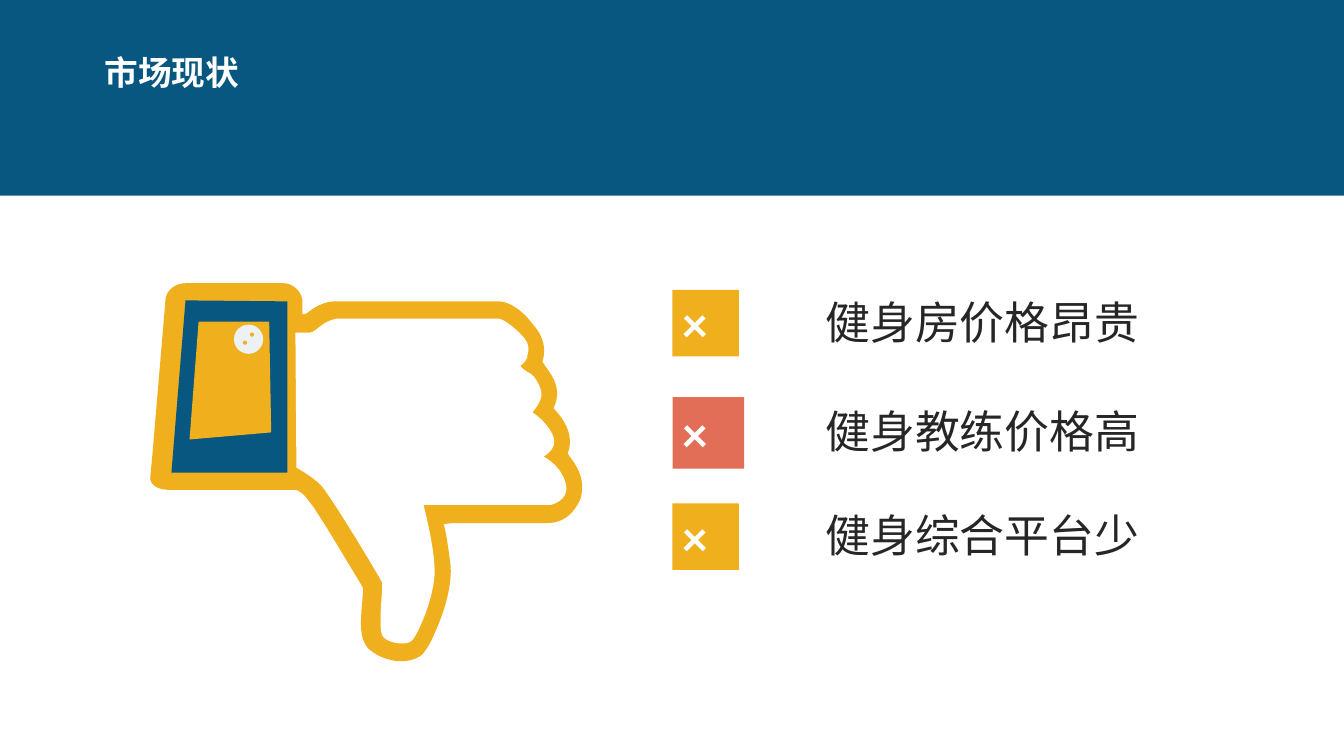
from dataclasses import dataclass

from lxml import etree
from pptx import Presentation
from pptx.dml.color import RGBColor
from pptx.enum.shapes import MSO_SHAPE
from pptx.enum.text import MSO_AUTO_SIZE, PP_ALIGN
from pptx.oxml.ns import qn
from pptx.util import Inches, Pt

RECT, OVAL = MSO_SHAPE.RECTANGLE, MSO_SHAPE.OVAL
LEFT, CENTER = PP_ALIGN.LEFT, PP_ALIGN.CENTER
FIT_TEXT = MSO_AUTO_SIZE.SHAPE_TO_FIT_TEXT

BLUE = RGBColor(0x08, 0x57, 0x80)
YELLOW = RGBColor(0xF0, 0xAF, 0x1D)
RED = RGBColor(0xE3, 0x6E, 0x57)
WHITE = RGBColor(0xFF, 0xFF, 0xFF)
BUTTON = RGBColor(0xEC, 0xF1, 0xF4)
DARK = RGBColor(0x26, 0x26, 0x26)

CURVE_STEPS = 10


@dataclass
class Problem:
    label: str
    top: float
    color: RGBColor
    side: float


@dataclass
class Outline:
    """Closed outline: pairs are line ends, sextuples are cubic curves."""
    color: RGBColor
    start: tuple[float, float]
    segments: list[tuple[float, ...]]


PROBLEMS = [
    Problem("健身房价格昂贵", 2.87, YELLOW, 0.66),
    Problem("健身教练价格高", 3.96, RED, 0.71),
    Problem("健身综合平台少", 4.99, YELLOW, 0.66),
]

HAND_EDGE = Outline(YELLOW, (5.76, 4.94), [
    (5.7, 5.09, 5.6, 5.16, 5.51, 5.18), (5.47, 5.19, 5.42, 5.19, 5.32, 5.19),
    (4.48, 5.19), (4.4, 5.2), (4.43, 5.3, 4.45, 5.47, 4.47, 5.62),
    (4.48, 5.8, 4.42, 6.04, 4.32, 6.26), (4.28, 6.36, 4.23, 6.45, 4.18, 6.5),
    (4.12, 6.54, 4.06, 6.56, 3.98, 6.56), (3.88, 6.56, 3.74, 6.52, 3.65, 6.43),
    (3.6, 6.37, 3.58, 6.3, 3.58, 6.18), (3.58, 6.06, 3.6, 5.94, 3.6, 5.83),
    (3.54, 5.73), (3.25, 5.25), (3.11, 5.03), (3.04, 4.94),
    (3.01, 4.9, 2.98, 4.88, 2.94, 4.86), (1.68, 4.86),
    (1.58, 4.86, 1.49, 4.82, 1.49, 4.74), (1.51, 4.53), (1.64, 2.99),
    (1.64, 2.89, 1.73, 2.81, 1.84, 2.81), (2.81, 2.81),
    (2.91, 2.81, 3, 2.9, 3, 3), (3, 3.12), (3.04, 3.11),
    (3.14, 3.03, 3.23, 2.99, 3.33, 2.99), (4.94, 2.99),
    (5.05, 2.99, 5.18, 3.08, 5.27, 3.2), (5.36, 3.3, 5.43, 3.42, 5.38, 3.59),
    (5.42, 3.65), (5.52, 3.78, 5.56, 3.9, 5.49, 4.05), (5.55, 4.12),
    (5.62, 4.21, 5.69, 4.35, 5.63, 4.5), (5.68, 4.57),
    (5.75, 4.67, 5.8, 4.79, 5.76, 4.94),
])
HAND = Outline(WHITE, (2.94, 4.64), [
    (2.94, 4.64, 3.09, 4.72, 3.18, 4.81), (3.27, 4.9, 3.77, 5.73, 3.79, 5.78),
    (3.8, 5.84, 3.75, 6.21, 3.79, 6.3), (3.82, 6.38, 4.03, 6.41, 4.08, 6.36),
    (4.14, 6.32, 4.33, 5.88, 4.31, 5.63), (4.3, 5.38, 4.2, 5.01, 4.2, 5.01),
    (5.46, 5.01), (5.46, 5.01, 5.66, 4.97, 5.61, 4.79),
    (5.56, 4.61, 5.39, 4.53, 5.39, 4.53), (5.39, 4.53, 5.55, 4.45, 5.48, 4.31),
    (5.42, 4.18, 5.28, 4.09, 5.28, 4.09), (5.28, 4.09, 5.35, 4.02, 5.37, 3.93),
    (5.38, 3.85, 5.3, 3.72, 5.25, 3.7), (5.19, 3.67, 5.16, 3.63, 5.16, 3.63),
    (5.16, 3.63, 5.22, 3.59, 5.23, 3.54), (5.23, 3.5, 5.28, 3.43, 5.17, 3.32),
    (5.05, 3.2, 4.98, 3.17, 4.95, 3.16), (3.35, 3.16),
    (3.35, 3.16, 3.27, 3.17, 3.2, 3.22), (3.13, 3.27, 3.11, 3.3, 3.06, 3.3),
    (2.93, 3.3),
])
CUFF = Outline(BLUE, (1.7, 4.69), [(1.84, 2.98), (2.85, 2.99), (2.85, 4.69)])
CUFF_PATCH = Outline(YELLOW, (1.88, 4.36), [(1.97, 3.19), (2.67, 3.19), (2.69, 4.29)])


def paint(shape, color: RGBColor) -> None:
    shape.shadow.inherit = False
    shape.fill.solid()
    shape.fill.fore_color.rgb = color
    shape.line.fill.background()


def add_block(s, kind, x: float, y: float, w: float, h: float, color: RGBColor) -> None:
    paint(s.shapes.add_shape(kind, Inches(x), Inches(y), Inches(w), Inches(h)), color)


def add_text(s, text: str, x: float, y: float, w: float, h: float, *, size: int,
             color: RGBColor, font: str = "Calibri", bold: bool = False,
             align=LEFT, wrap: bool = True) -> None:
    tf = s.shapes.add_textbox(Inches(x), Inches(y), Inches(w), Inches(h)).text_frame
    tf.word_wrap = wrap
    tf.auto_size = FIT_TEXT
    p = tf.paragraphs[0]
    p.alignment = align
    r = p.add_run()
    r.text = text
    r.font.name, r.font.size, r.font.bold = font, Pt(size), bold
    r.font.color.rgb = color
    etree.SubElement(r.font._element, qn("a:ea"), typeface=font)


def flatten(outline: Outline) -> list[tuple[float, float]]:
    """Turn the outline's curves into short straight steps."""
    points = [outline.start]
    for segment in outline.segments:
        if len(segment) == 2:
            points.append(segment)
            continue
        controls = [points[-1], segment[:2], segment[2:4], segment[4:]]
        for step in range(1, CURVE_STEPS + 1):
            t = step / CURVE_STEPS
            u = 1 - t
            weights = (u**3, 3 * u * u * t, 3 * u * t * t, t**3)
            points.append(tuple(sum(k * c[axis] for k, c in zip(weights, controls))
                                for axis in (0, 1)))
    return points


def add_outline(s, outline: Outline) -> None:
    start, *rest = [(Inches(x), Inches(y)) for x, y in flatten(outline)]
    builder = s.shapes.build_freeform(*start)
    builder.add_line_segments(rest, close=True)
    paint(builder.convert_to_shape(), outline.color)


def add_thumb_down(s) -> None:
    for outline in (HAND_EDGE, HAND, CUFF, CUFF_PATCH):
        add_outline(s, outline)
    add_block(s, OVAL, 2.32, 3.22, 0.29, 0.29, BUTTON)
    for x, y in ((2.48, 3.3), (2.41, 3.38)):
        add_block(s, OVAL, x, y, 0.04, 0.04, YELLOW)


def add_problem(s, problem: Problem) -> None:
    mark_top = problem.top - 0.02
    mark_size = 0.71
    inset = (mark_size - problem.side) / 2
    add_text(s, problem.label, 7.67, problem.top, 4.15, 0.64, size=32, color=DARK,
             font="Noto Sans CJK SC", align=CENTER)
    add_block(s, RECT, 6.67, mark_top + inset, problem.side, problem.side, problem.color)
    add_text(s, "×", 6.67, mark_top, mark_size, mark_size, size=36, color=WHITE,
             bold=True, wrap=False)


def main() -> None:
    prs = Presentation()
    prs.slide_width, prs.slide_height = Inches(13.33), Inches(7.5)
    s = prs.slides.add_slide(prs.slide_layouts[6])
    s.background.fill.solid()
    s.background.fill.fore_color.rgb = BLUE
    add_block(s, RECT, 0, 1.94, 13.33, 5.56, WHITE)
    add_text(s, "市场现状", 0.94, 0.47, 3.28, 0.51, size=24, color=WHITE, bold=True)
    add_thumb_down(s)
    for problem in PROBLEMS:
        add_problem(s, problem)
    prs.save("out.pptx")


if __name__ == "__main__":
    main()
